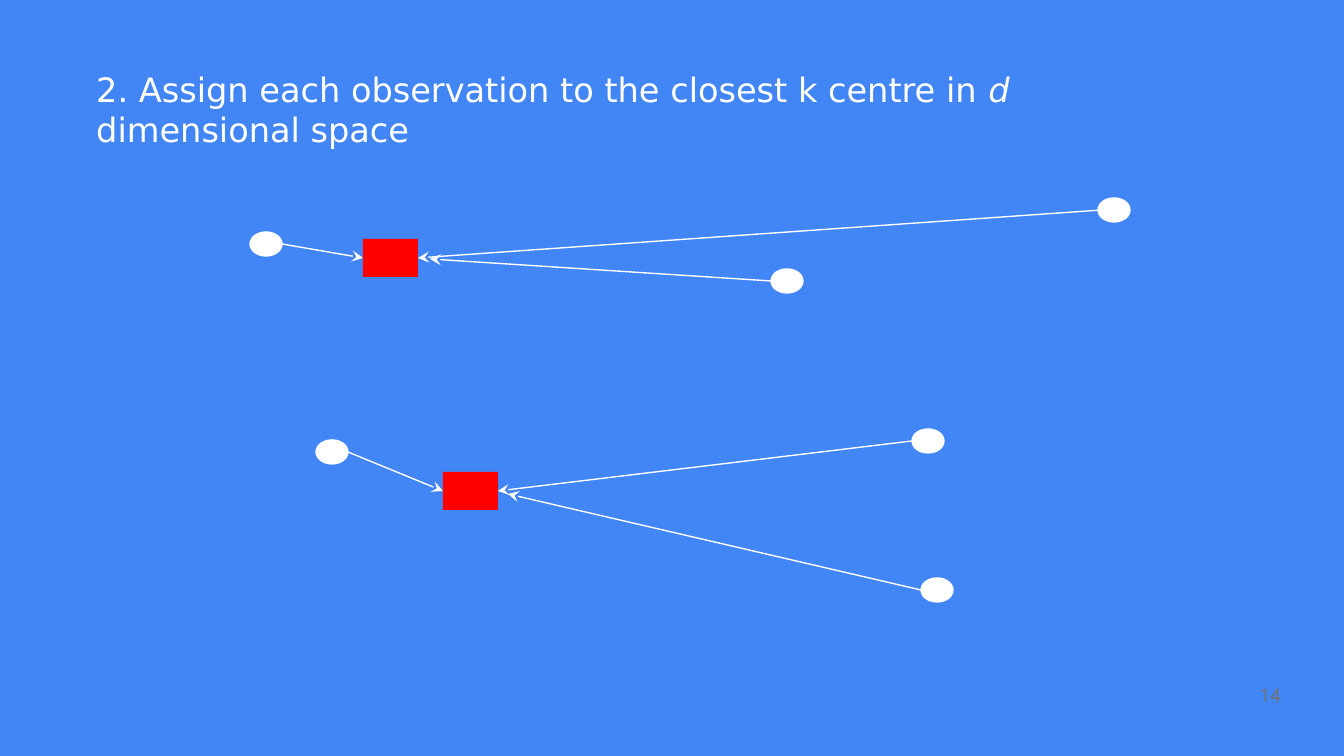
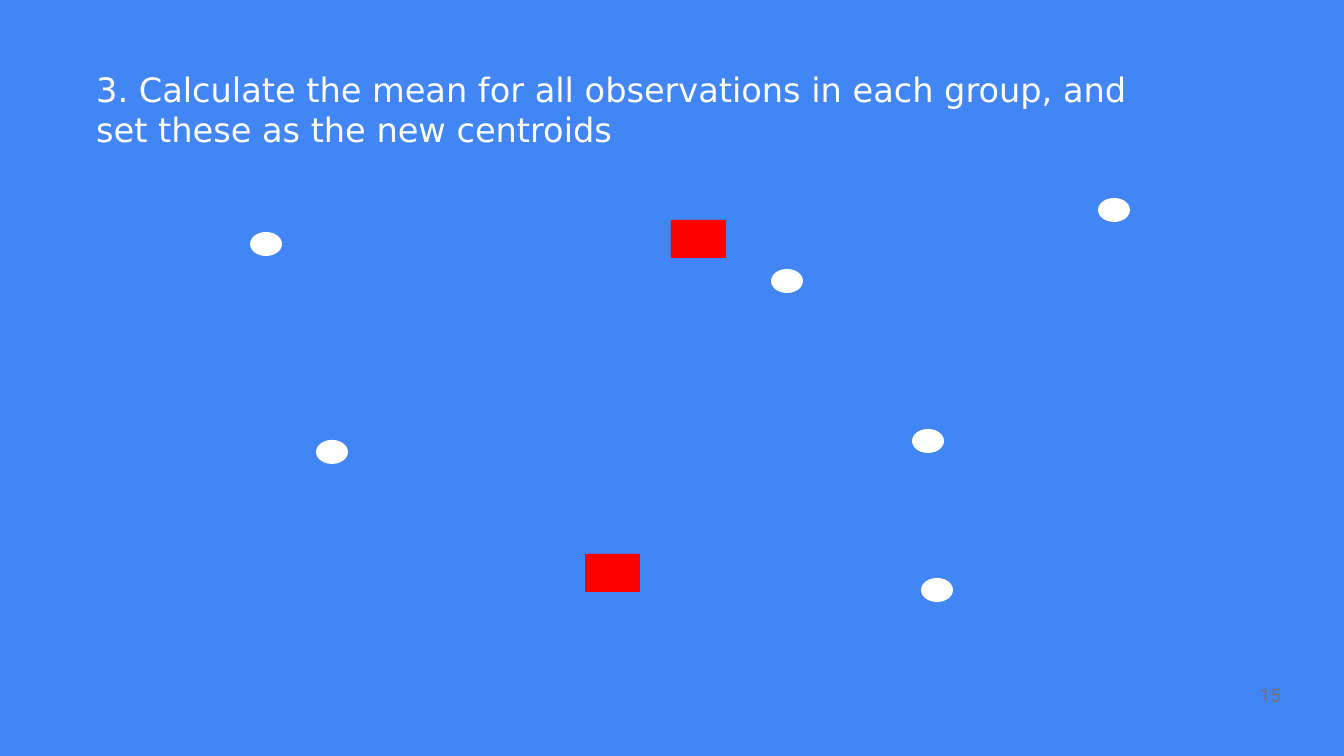
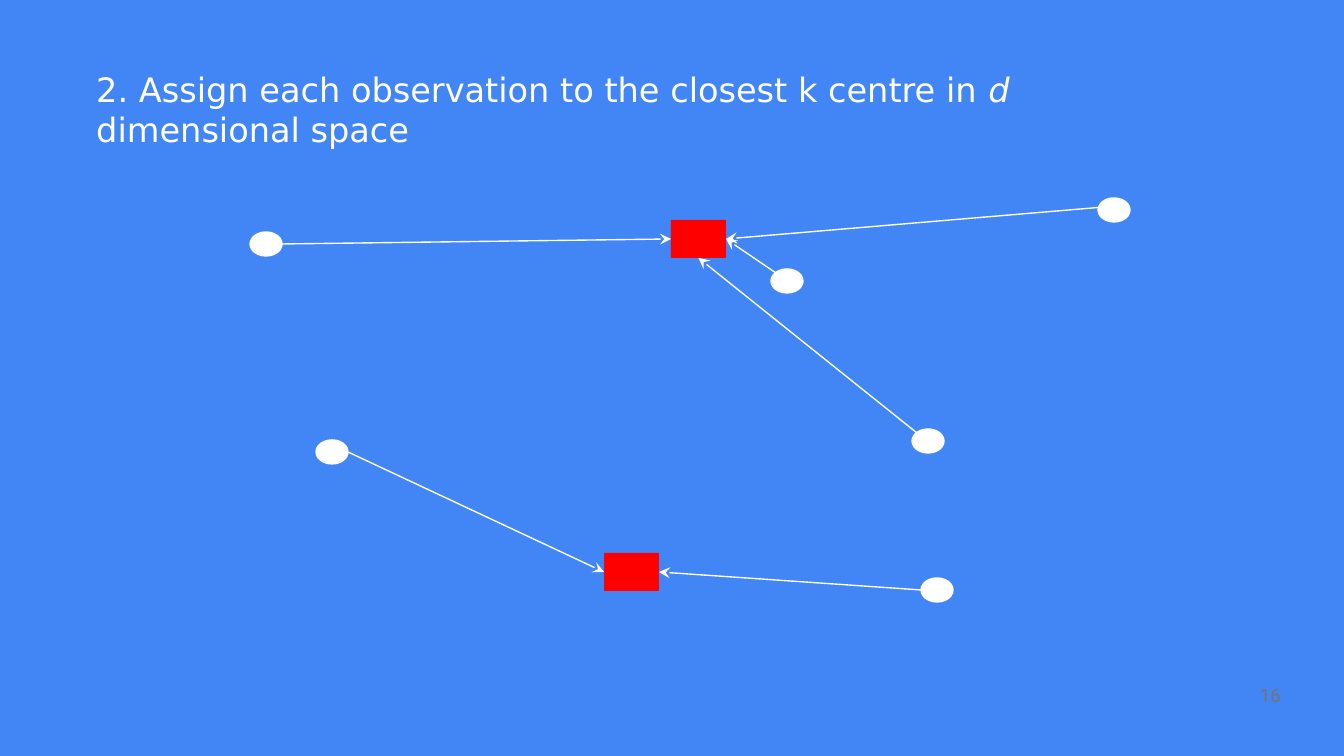
from typing import NamedTuple

from pptx import Presentation
from pptx.dml.color import RGBColor
from pptx.enum.shapes import MSO_CONNECTOR, MSO_SHAPE
from pptx.enum.text import MSO_ANCHOR, PP_ALIGN
from pptx.oxml.ns import qn
from pptx.util import Emu, Pt
from lxml import etree

OVAL, RECT = MSO_SHAPE.OVAL, MSO_SHAPE.RECTANGLE
STRAIGHT = MSO_CONNECTOR.STRAIGHT
RIGHT, BOTTOM_ANCHOR = PP_ALIGN.RIGHT, MSO_ANCHOR.BOTTOM

BLUE = RGBColor(0x42, 0x85, 0xF4)
WHITE = RGBColor(0xFF, 0xFF, 0xFF)
RED = RGBColor(0xFF, 0x00, 0x00)
GREY = RGBColor(0x73, 0x73, 0x73)
TITLE_FONT, NUMBER_FONT = "DejaVu Sans", "Roboto"
LINE_WIDTH = Pt(0.75)

SLIDE_W, SLIDE_H = 1344, 756
EMU_PER_PX = 9144000 / SLIDE_W
DOT_W, DOT_H = 32, 24
CENTROID_W, CENTROID_H = 55, 38


class Point(NamedTuple):
    x: int
    y: int


class Run(NamedTuple):
    text: str
    italic: bool = False


class Arrow(NamedTuple):
    dot: int  # index in DOTS
    start: Point  # offset from the centre of the dot
    centroid: int  # index in the step's centroids
    side: int = 3  # side of the centroid it joins
    gap: Point | None = None  # offset from that centroid's top left, if not joined


class Step(NamedTuple):
    number: int
    title: list[Run]
    title_h: int
    centroids: list[Point]
    arrows: list[Arrow]


# Centres of the observations, the same in every step
DOTS = [Point(266, 244), Point(332, 452), Point(787, 281),
        Point(928, 441), Point(1114, 210), Point(937, 590)]

# Start points of arrows on a dot, and sides of a centroid
DOT_LEFT, DOT_RIGHT, DOT_UPPER_LEFT = Point(-16, 0), Point(16, 0), Point(-11, -8)
SIDE_LEFT, SIDE_BOTTOM = 1, 2

ASSIGN = [Run("2. Assign each observation to the closest k centre in "),
          Run("d", True), Run(" dimensional space")]
AVERAGE = [Run("3. Calculate the mean for all observations in each group, "
               "and set these as the new centroids")]

STEPS = [
    Step(14, ASSIGN, 132, [Point(363, 239), Point(443, 472)], [
        Arrow(0, DOT_RIGHT, 0, SIDE_LEFT),
        Arrow(1, DOT_RIGHT, 1, SIDE_LEFT),
        Arrow(2, DOT_LEFT, 0, gap=Point(67, 20)),
        Arrow(3, DOT_LEFT, 1),
        Arrow(4, Point(-12, 0), 0),
        Arrow(5, DOT_LEFT, 1, gap=Point(65, 22)),
    ]),
    Step(15, AVERAGE, 93, [Point(671, 220), Point(585, 554)], []),
    Step(16, ASSIGN, 132, [Point(671, 220), Point(604, 553)], [
        Arrow(0, DOT_RIGHT, 0, SIDE_LEFT),
        Arrow(2, DOT_UPPER_LEFT, 0),
        Arrow(4, Point(-10, -3), 0),
        Arrow(1, DOT_RIGHT, 1, SIDE_LEFT),
        Arrow(3, DOT_UPPER_LEFT, 0, SIDE_BOTTOM),
        Arrow(5, DOT_LEFT, 1),
    ]),
]


def px(n: int) -> Emu:
    return Emu(round(n * EMU_PER_PX))


def add_text(s, x: int, y: int, w: int, h: int, runs: list[Run],
             font: str, size: int, color: RGBColor):
    tf = s.shapes.add_textbox(px(x), px(y), px(w), px(h)).text_frame
    tf.word_wrap = True
    p = tf.paragraphs[0]
    p.font.name, p.font.size = font, Pt(size)
    p.font.color.rgb = color
    for run in runs:
        r = p.add_run()
        r.text = run.text
        if run.italic:
            r.font.italic = True
    return tf


def add_marker(s, kind, x: int, y: int, w: int, h: int, color: RGBColor,
               outlined: bool = False):
    sp = s.shapes.add_shape(kind, px(x), px(y), px(w), px(h))
    sp.shadow.inherit = False
    sp.fill.solid()
    sp.fill.fore_color.rgb = color
    if outlined:
        sp.line.color.rgb = color
        sp.line.width = LINE_WIDTH
    else:
        sp.line.fill.background()
    return sp


def add_arrow(s, arrow: Arrow, corner: Point, centroid) -> None:
    dot = DOTS[arrow.dot]
    gap = arrow.gap or Point(0, 0)
    line = s.shapes.add_connector(
        STRAIGHT, px(dot.x + arrow.start.x), px(dot.y + arrow.start.y),
        px(corner.x + gap.x), px(corner.y + gap.y))
    if arrow.gap is None:
        line.end_connect(centroid, arrow.side)
    line.line.color.rgb = WHITE
    line.line.width = LINE_WIDTH
    etree.SubElement(line.line._get_or_add_ln(), qn("a:tailEnd"), type="stealth")
    etree.SubElement(line._element.spPr, qn("a:effectLst"))


def add_step(prs, step: Step) -> None:
    s = prs.slides.add_slide(prs.slide_layouts[6])
    s.background.fill.solid()
    s.background.fill.fore_color.rgb = BLUE

    # Slide number and title
    tf = add_text(s, 1227, 673, 67, 40, [Run(str(step.number))],
                  NUMBER_FONT, 10, GREY)
    tf.vertical_anchor = BOTTOM_ANCHOR
    tf.paragraphs[0].alignment = RIGHT
    add_text(s, 83, 62, 1111, step.title_h, step.title, TITLE_FONT, 18, WHITE)

    # Observations, outlined where arrows start from them
    for dot in DOTS:
        add_marker(s, OVAL, dot.x - DOT_W // 2, dot.y - DOT_H // 2,
                   DOT_W, DOT_H, WHITE, outlined=bool(step.arrows))

    # Centroids and the arrows to them
    centroids = [add_marker(s, RECT, c.x, c.y, CENTROID_W, CENTROID_H, RED)
                 for c in step.centroids]
    for arrow in step.arrows:
        add_arrow(s, arrow, step.centroids[arrow.centroid],
                  centroids[arrow.centroid])


def main() -> None:
    prs = Presentation()
    prs.slide_width, prs.slide_height = px(SLIDE_W), px(SLIDE_H)
    for step in STEPS:
        add_step(prs, step)
    prs.save("out.pptx")


if __name__ == "__main__":
    main()
